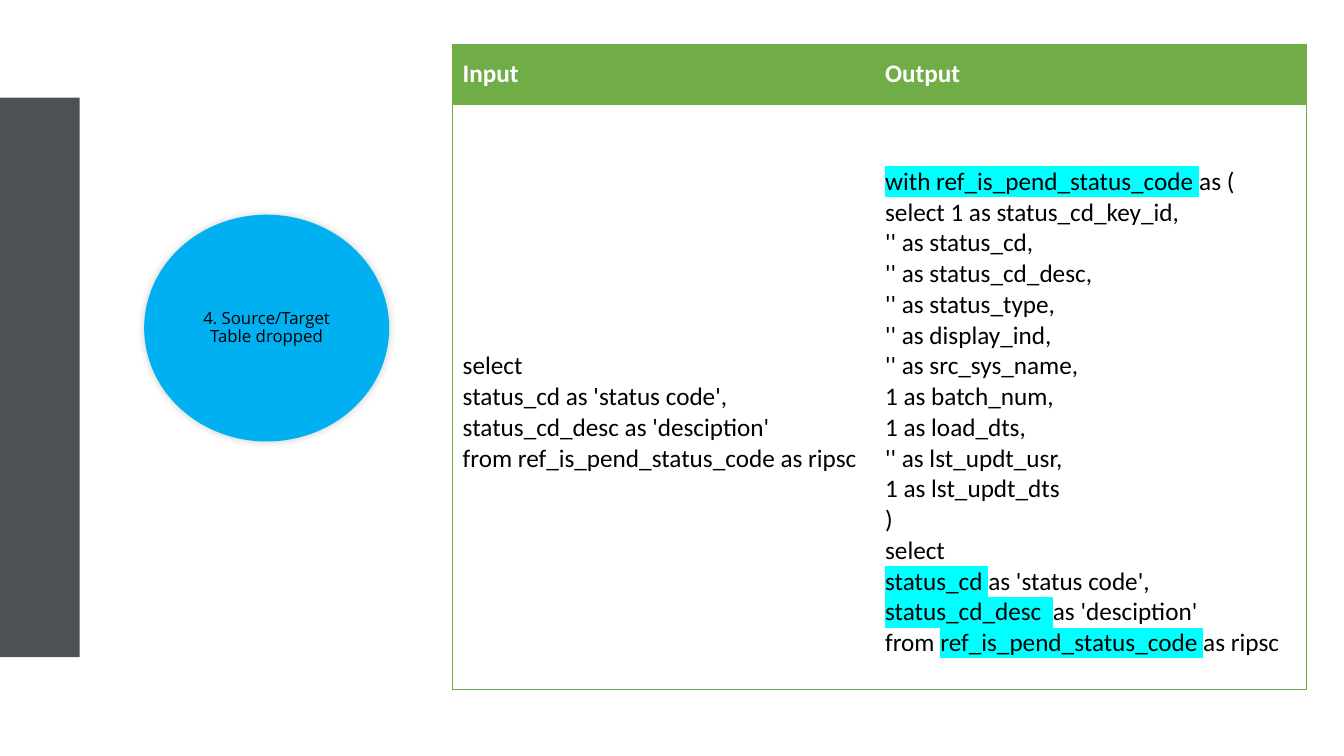
from lxml import etree
from pptx import Presentation
from pptx.dml.color import RGBColor
from pptx.enum.shapes import MSO_SHAPE
from pptx.enum.text import MSO_ANCHOR, PP_ALIGN
from pptx.oxml.ns import qn
from pptx.util import Inches, Pt

RECTANGLE, OVAL = MSO_SHAPE.RECTANGLE, MSO_SHAPE.OVAL
MIDDLE, CENTER = MSO_ANCHOR.MIDDLE, PP_ALIGN.CENTER

COLORS = {
    "slate": "4C5254",
    "blue": "00B0F0",
    "green": "70AD47",
    "cyan": "00FFFF",
    "white": "FFFFFF",
    "black": "000000",
}
INPUT_QUERY = [
    "select",
    "status_cd as 'status code',",
    "status_cd_desc as 'desciption'",
    "from ref_is_pend_status_code as ripsc",
]
OUTPUT_QUERY = [
    "|with ref_is_pend_status_code |as (",
    "select 1 as status_cd_key_id,",
    "'' as status_cd,",
    "'' as status_cd_desc,",
    "'' as status_type,",
    "'' as display_ind,",
    "'' as src_sys_name,",
    "1 as batch_num,",
    "1 as load_dts,",
    "'' as lst_updt_usr,",
    "1 as lst_updt_dts",
    ")",
    "select",
    "|status_cd |as 'status code',",
    "|status_cd_desc  |as 'desciption'",
    "from |ref_is_pend_status_code |as ripsc",
]


class SlideBuilder:
    """Draw styled elements on one slide, with lengths in percent of its size and |marked| text highlighted."""

    def __init__(self, deck):
        self.deck = deck
        self.page = deck.slides.add_slide(deck.slide_layouts[6])

    def across(self, percent):
        return round(self.deck.slide_width * percent / 100)

    def down(self, percent):
        return round(self.deck.slide_height * percent / 100)

    def place(self, left, top, width, height):
        return self.across(left), self.down(top), self.across(width), self.down(height)

    def color(self, name):
        return RGBColor.from_string(COLORS[name])

    def fill_xml(self, parent, name):
        fill = etree.SubElement(parent, qn("a:solidFill"))
        return etree.SubElement(fill, qn("a:srgbClr"), val=COLORS[name])

    def shape(self, kind, area, fill):
        box = self.page.shapes.add_shape(kind, *self.place(*area))
        box.shadow.inherit = False
        box.fill.solid()
        box.fill.fore_color.rgb = self.color(fill)
        box.line.fill.background()
        return box

    def glow(self, box):
        effects = box._element.spPr.find(qn("a:effectLst"))
        shadow = etree.SubElement(
            effects, qn("a:outerShdw"), blurRad=str(Pt(6)), dist="0", dir="13500000"
        )
        tint = etree.SubElement(shadow, qn("a:srgbClr"), val=COLORS["black"])
        etree.SubElement(tint, qn("a:alpha"), val="20000")

    def style(self, span, font, size, color, bold=False):
        span.font.name = font
        span.font.size = Pt(size)
        span.font.bold = bold
        span.font.color.rgb = self.color(color)

    def highlight(self, span):
        mark = etree.Element(qn("a:highlight"))
        etree.SubElement(mark, qn("a:srgbClr"), val=COLORS["cyan"])
        span.font._element.find(qn("a:solidFill")).addnext(mark)

    def label(self, box, text):
        box.text_frame.text = text
        box.text_frame.word_wrap = True
        box.text_frame.vertical_anchor = MIDDLE
        para = box.text_frame.paragraphs[0]
        para.alignment = CENTER
        para.line_spacing = 0.9
        para.space_after = Pt(5.5)
        self.style(para.runs[0], "Open Sans", 12, "black")

    def cell(self, cell, lines, fill, color, bold, edges):
        cell.vertical_anchor = MIDDLE
        properties = cell._tc.get_or_add_tcPr()
        for side in "LRTB":
            line = etree.SubElement(properties, qn(f"a:ln{side}"), w=str(Pt(0.5)))
            if side in edges:
                self.fill_xml(line, "green")
            else:
                etree.SubElement(line, qn("a:noFill"))
        cell.fill.solid()
        cell.fill.fore_color.rgb = self.color(fill)
        cell.text_frame.text = "\n".join(lines).replace("|", "")
        for para, line in zip(cell.text_frame.paragraphs, lines):
            if "|" in line:
                para.clear()
                for index, part in enumerate(line.split("|")):
                    if part:
                        span = para.add_run()
                        span.text = part
                        self.style(span, "Calibri", 18, color, bold)
                        if index % 2:
                            self.highlight(span)
            else:
                self.style(para.runs[0], "Calibri", 18, color, bold)

    def table(self, area, widths, heights, headings, queries):
        table = self.page.shapes.add_table(2, 2, *self.place(*area)).table
        table.horz_banding = False
        for column, width in zip(table.columns, widths):
            column.width = self.across(width)
        for row, height in zip(table.rows, heights):
            row.height = self.down(height)
        for index, side in enumerate("LR"):
            self.cell(table.cell(0, index), [headings[index]], "green", "white", True, side + "TB")
            body = table.cell(1, index)
            self.cell(body, queries[index], "white", "black", False, side + "TB")
            body.margin_top = Inches(0.36)


def main():
    deck = Presentation()
    deck.slide_width, deck.slide_height = Inches(13.33), Inches(7.5)
    slide = SlideBuilder(deck)
    slide.shape(RECTANGLE, (0, 12.93, 5.93, 74), "slate")
    step = slide.shape(OVAL, (10.73, 28.4, 18.23, 30), "blue")
    slide.glow(step)
    slide.label(step, "4. Source/Target Table dropped")
    slide.table(
        (33.68, 5.87, 63.54, 85.34),
        (31.43, 32.11),
        (7.87, 77.47),
        ("Input", "Output"),
        (INPUT_QUERY, OUTPUT_QUERY),
    )
    deck.save("out.pptx")


if __name__ == "__main__":
    main()
